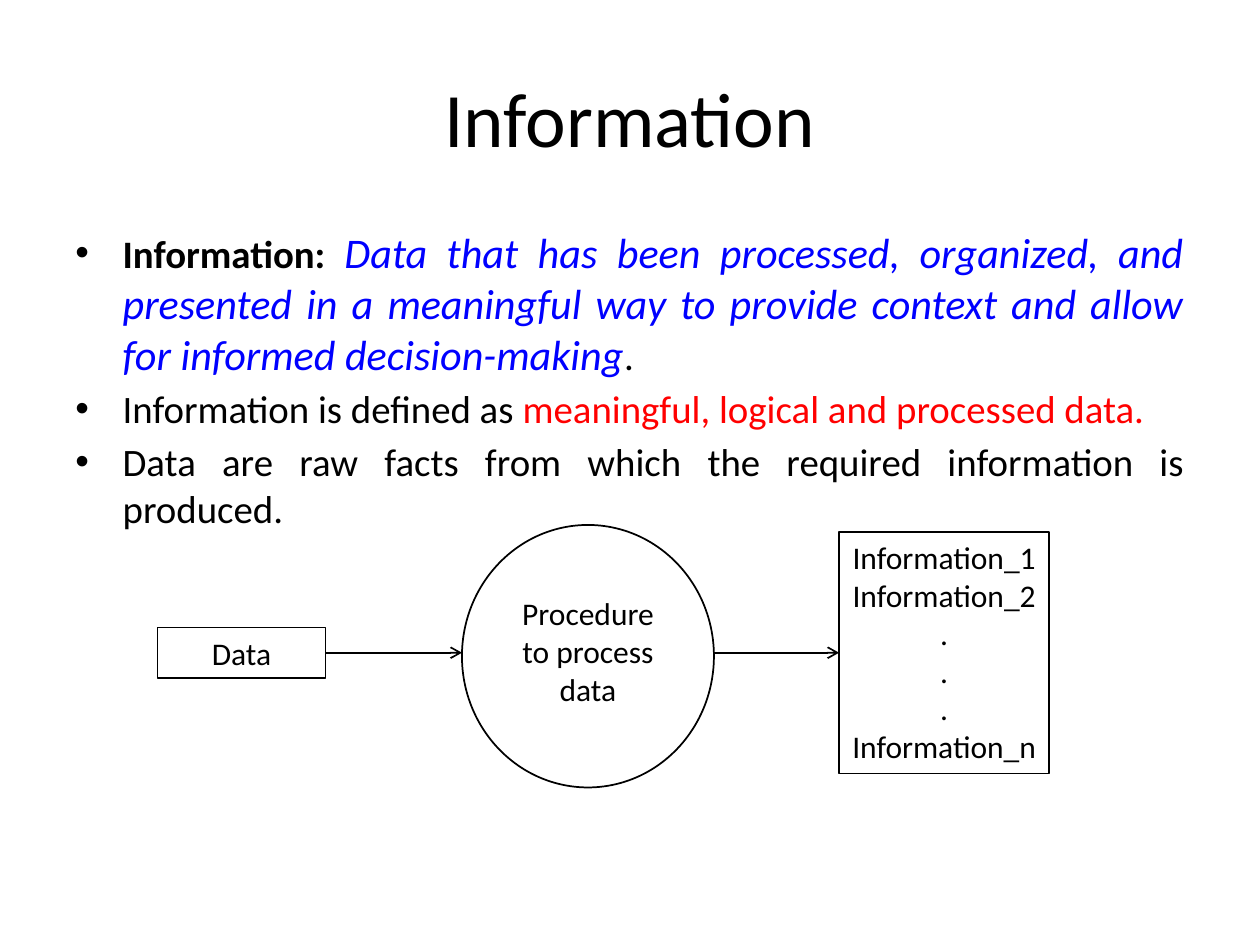
from dataclasses import dataclass

from lxml import etree
from pptx import Presentation
from pptx import util as u
from pptx.dml.color import RGBColor
from pptx.enum import shapes, text
from pptx.oxml.ns import qn

BLACK, WHITE, BLUE, RED = "000000", "FFFFFF", "0000FF", "FF0000"
MID = 373


@dataclass
class Run:
    words: str
    color: str = BLACK
    size: float = 22.2
    bold: bool = False
    slant: bool = False


@dataclass
class Node:
    left: float
    top: float
    width: float
    height: float
    lines: tuple = ()
    kind: int = shapes.MSO_SHAPE.RECTANGLE
    fill: str = ""
    line: str = BLACK
    weight: float = 0.75


def paint(code: str) -> RGBColor:
    return RGBColor.from_string(code)


def write(frame, paras, align=text.PP_ALIGN.CENTER, anchor=text.MSO_ANCHOR.TOP,
          gap: float = 0, bullet: str = "") -> None:
    frame.word_wrap = True
    frame.vertical_anchor = anchor
    for i, runs in enumerate(paras):
        para = frame.paragraphs[0] if i == 0 else frame.add_paragraph()
        if bullet:
            props = para._p.get_or_add_pPr()
            props.set("marL", str(u.Pt(27)))
            props.set("indent", str(u.Pt(-27)))
            etree.SubElement(props, qn("a:buFont"), typeface="Arial")
            etree.SubElement(props, qn("a:buChar"), char=bullet)
        para.alignment = align
        para.space_before = u.Pt(gap if i else 0)
        for item in runs:
            run = para.add_run()
            run.text = item.words
            font = run.font
            font.name = "Calibri"
            font.size = u.Pt(item.size)
            font.bold = item.bold
            font.italic = item.slant
            font.color.rgb = paint(item.color)


def add_text(slide, left: float, top: float, width: float, height: float, paras, **style) -> None:
    box = slide.shapes.add_textbox(*map(u.Pt, (left, top, width, height)))
    write(box.text_frame, paras, **style)


def add_node(slide, node: Node):
    shape = slide.shapes.add_shape(
        node.kind, *map(u.Pt, (node.left, node.top, node.width, node.height)))
    shape.shadow.inherit = False
    if node.fill:
        shape.fill.solid()
        shape.fill.fore_color.rgb = paint(node.fill)
    else:
        shape.fill.background()
    shape.line.color.rgb = paint(node.line)
    shape.line.width = u.Pt(node.weight)
    if node.lines:
        write(shape.text_frame, [[Run(line, size=18)] for line in node.lines])
    return shape


def add_arrow(slide, start: float, end: float):
    arrow = slide.shapes.add_connector(
        shapes.MSO_CONNECTOR.STRAIGHT, *map(u.Pt, (start, MID, end, MID)))
    arrow.line.color.rgb = paint(BLACK)
    arrow.line.width = u.Pt(1)
    etree.SubElement(arrow.line._get_or_add_ln(), qn("a:tailEnd"), type="arrow")
    etree.SubElement(arrow._element.spPr, qn("a:effectLst"))
    return arrow


def main() -> None:
    deck = Presentation()
    deck.slide_width, deck.slide_height = u.Pt(720), u.Pt(540)
    slide = deck.slides.add_slide(deck.slide_layouts[6])

    add_text(slide, 36, 21.6, 648, 90, [[Run("Information", size=44)]],
             anchor=text.MSO_ANCHOR.MIDDLE)
    points = [
        [Run("Information: ", bold=True),
         Run("Data that has been processed, organized, and presented in a meaningful way "
             "to provide context and allow for informed decision-making",
             BLUE, 24.1, slant=True),
         Run(".")],
        [Run("Information is defined as "),
         Run("meaningful, logical and processed data.", RED)],
        [Run("Data are raw facts from which the required information is produced.")],
    ]
    add_text(slide, 36, 126, 648, 162, points, align=text.PP_ALIGN.JUSTIFY,
             gap=3.6, bullet="•")

    result = add_node(slide, Node(
        479.5, MID - 69, 120, 138,
        ("Information_1", "Information_2", ".", ".", ".", "Information_n")))
    data = add_node(slide, Node(90, MID - 14.5, 96, 29, ("Data",)))
    add_node(slide, Node(264, 300, 144, 150, kind=shapes.MSO_SHAPE.OVAL,
                         fill=WHITE, weight=1))
    add_node(slide, Node(288, 336, 96, 73, ("Procedure to process data",),
                         line=WHITE, weight=1))

    add_arrow(slide, 186, 264).begin_connect(data, 3)
    add_arrow(slide, 408, 479.5).end_connect(result, 1)
    deck.save("out.pptx")


if __name__ == "__main__":
    main()
